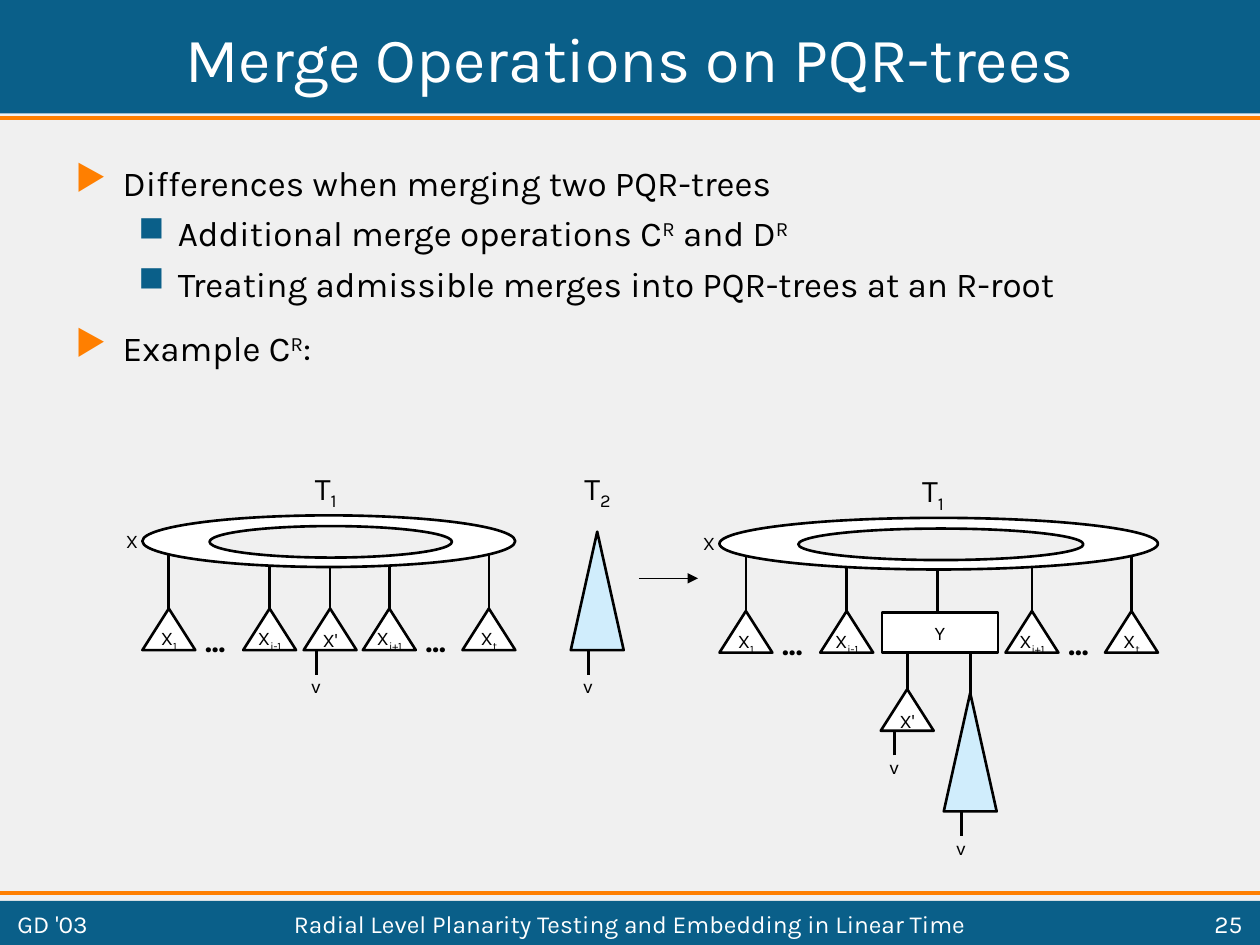
"""Build a slide on merge operations for PQR-trees, laid out on a 100 by 75 grid."""
from dataclasses import dataclass
from typing import NamedTuple, Optional

from lxml.etree import SubElement
from pptx import Presentation
from pptx.dml.color import RGBColor
from pptx.enum.shapes import MSO_CONNECTOR, MSO_SHAPE
from pptx.enum.text import MSO_ANCHOR, MSO_AUTO_SIZE, PP_ALIGN
from pptx.oxml.ns import qn
from pptx.util import Inches, Pt

COLUMNS, ROWS = 100, 75
CELL = Inches(10) // COLUMNS


@dataclass(frozen=True)
class Theme:
    font: str = "Karla"
    page: str = "F0F0F0"
    band: str = "0A5F89"
    accent: str = "FF7F00"
    ink: str = "000000"
    paper: str = "FFFFFF"
    subtree: str = "D0EDFC"
    title: int = 36
    body: int = 20
    heading: int = 18
    footer: int = 14
    label: int = 11
    outline: float = 1.5
    rule: float = 2.25
    arrow: float = 0.75


THEME = Theme()


class Run(NamedTuple):
    text: str
    baseline: int = 0


class Box(NamedTuple):
    column: float
    row: float
    columns: float
    rows: float


class Bullet(NamedTuple):
    runs: list[Run]
    level: int = 0


class BulletStyle(NamedTuple):
    mark: str
    color: str
    margin: float
    hanging: float
    space: float


class Leaf(NamedTuple):
    column: float
    stem_row: float
    subscript: str
    spread: int


class Tree(NamedTuple):
    column: float
    row: float
    widening: float
    middle: float


BULLET_STYLES = [BulletStyle("▶", THEME.accent, 3.75, 3.75, 12.5),
                 BulletStyle("■", THEME.band, 8.13, 3.13, 5)]
BULLETS = [
    Bullet([Run("Differences when merging two PQR-trees")]),
    Bullet([Run("Additional merge operations C"), Run("R", 30), Run(" and D"), Run("R", 30)], 1),
    Bullet([Run("Treating admissible merges into PQR-trees at an R-root")], 1),
    Bullet([Run("Example C"), Run("R", 30), Run(":")]),
]
FOOTERS = [("GD '03", 0.4, 11.8, PP_ALIGN.LEFT),
           ("Radial Level Planarity Testing and Embedding in Linear Time", 13, 74, PP_ALIGN.CENTER),
           ("25", 87.8, 11.8, PP_ALIGN.RIGHT)]
LEAVES = [Leaf(0, 2.2, "1", 0), Leaf(8, 3.2, "i-1", 0),
          Leaf(17.5, 3.8, "i+1", 1), Leaf(25.4, 2.3, "t", 1)]
DOTS = [(4, 0), (21.5, 1)]
BEFORE = Tree(11.3, 40.9, 0, 14.9)
AFTER = Tree(57.1, 41.1, 5.2, 17.3)
TRIANGLE_WIDTH, LEAF_HEIGHT, SUBTREE_HEIGHT = 4.2, 3.3, 9.4
STEM, TAIL = 5.65, 2.85


def emu(cells: float) -> int:
    """Convert grid cells to a length."""
    return round(cells * CELL)


def add_runs(paragraph, runs: list[Run], size: float, color: str, bold: bool = False) -> None:
    """Append styled runs to a paragraph."""
    for part in runs:
        run = paragraph.add_run()
        run.text = part.text
        run.font.name, run.font.size, run.font.bold = THEME.font, Pt(size), bold
        run.font.color.rgb = RGBColor.from_string(color)
        if part.baseline:
            run._r.get_or_add_rPr().set("baseline", str(part.baseline * 1000))


def add_text(shapes, box: Box, runs: list[Run], size: float, color: str = THEME.ink,
             align=PP_ALIGN.LEFT, wrap: bool = False, bold: bool = False) -> None:
    """Add a one-line text box, growing from its corner unless it wraps."""
    frame = shapes.add_textbox(*map(emu, box)).text_frame
    frame.word_wrap = wrap
    if wrap:
        frame.vertical_anchor = MSO_ANCHOR.MIDDLE
    else:
        frame.auto_size = MSO_AUTO_SIZE.SHAPE_TO_FIT_TEXT
    frame.paragraphs[0].alignment = align
    add_runs(frame.paragraphs[0], runs, size, color, bold)


def add_line(shapes, start: tuple, end: tuple, color: str = THEME.ink,
             width: float = THEME.outline, arrow: bool = False) -> None:
    """Add a straight connector between two grid points."""
    line = shapes.add_connector(MSO_CONNECTOR.STRAIGHT, *map(emu, (*start, *end)))
    line.line.color.rgb, line.line.width = RGBColor.from_string(color), Pt(width)
    if arrow:
        SubElement(line.line._get_or_add_ln(), qn("a:tailEnd"), type="triangle")
    SubElement(line._element.spPr, qn("a:effectLst"))


def add_outline(shapes, kind, box: Box, fill: str, runs: Optional[list[Run]] = None,
                outlined: bool = True) -> None:
    """Add a filled preset shape with an optional centred label."""
    shape = shapes.add_shape(kind, *map(emu, box))
    shape.shadow.inherit = False
    shape.fill.solid()
    shape.fill.fore_color.rgb = RGBColor.from_string(fill)
    if outlined:
        shape.line.color.rgb, shape.line.width = RGBColor.from_string(THEME.ink), Pt(THEME.outline)
    else:
        shape.line.fill.background()
    if runs:
        frame = shape.text_frame
        frame.word_wrap, frame.vertical_anchor = False, MSO_ANCHOR.MIDDLE
        frame.paragraphs[0].alignment = PP_ALIGN.CENTER
        add_runs(frame.paragraphs[0], runs, THEME.label, THEME.ink)


def add_branch(shapes, column: float, row: float, runs: Optional[list[Run]] = None,
               stem_row: Optional[float] = None, tail: Optional[float] = None) -> None:
    """Add a triangle with a stem above and a tail to v below; unlabelled ones are tall."""
    height = LEAF_HEIGHT if runs else SUBTREE_HEIGHT
    if stem_row is not None:
        apex = column + TRIANGLE_WIDTH / 2
        add_line(shapes, (apex, stem_row + STEM), (apex, stem_row))
    if tail is not None:
        x, top = column + tail, row + height - 0.9
        add_line(shapes, (x, top + TAIL), (x, top))
        add_text(shapes, Box(x - 1.4, top + 2.35, 2.8, 2.9), [Run("v")], THEME.label)
    add_outline(shapes, MSO_SHAPE.ISOSCELES_TRIANGLE, Box(column, row, TRIANGLE_WIDTH, height),
                THEME.paper if runs else THEME.subtree, runs)


def add_heading(shapes, column: float, row: float, index: str) -> None:
    """Add the name of a tree."""
    add_text(shapes, Box(column, row, 4.2, 4.4), [Run("T"), Run(index, -25)], THEME.heading)


def add_ring_tree(shapes, tree: Tree) -> None:
    """Add the R-node ring of a tree with its outer leaves and labels."""
    for leaf in LEAVES:
        add_branch(shapes, tree.column + leaf.column + leaf.spread * tree.widening, tree.row + 7.4,
                   [Run("X"), Run(leaf.subscript, -25)], tree.row + leaf.stem_row)
    width = 29.6 + tree.widening
    add_outline(shapes, MSO_SHAPE.OVAL, Box(tree.column, tree.row, width, 4.1), THEME.paper)
    add_outline(shapes, MSO_SHAPE.OVAL,
                Box(tree.column + 0.18 * width, tree.row + 0.85, 0.65 * width, 2.5), THEME.page)
    add_text(shapes, Box(tree.column - 2.3, tree.row + 0.6, 2.9, 2.9), [Run("X")], THEME.label)
    add_heading(shapes, tree.column + tree.middle - 2.2, tree.row - 4.2, "1")
    for column, spread in DOTS:
        add_text(shapes, Box(tree.column + column + spread * tree.widening, tree.row + 7.9, 4.1, 4),
                 [Run("...")], THEME.heading, bold=True)


def add_bullets(shapes) -> None:
    """Add the two-level bullet list."""
    frame = shapes.add_textbox(*map(emu, Box(5, 12.3, 89.9, 19.7))).text_frame
    frame.word_wrap = True
    for index, bullet in enumerate(BULLETS):
        paragraph = frame.add_paragraph() if index else frame.paragraphs[0]
        style = BULLET_STYLES[bullet.level]
        paragraph.level = bullet.level
        paragraph.space_before = Pt(style.space if index else 0)
        properties = paragraph._p.get_or_add_pPr()
        properties.set("marL", str(emu(style.margin)))
        properties.set("indent", str(-emu(style.hanging)))
        SubElement(SubElement(properties, qn("a:buClr")), qn("a:srgbClr"), val=style.color)
        SubElement(properties, qn("a:buChar"), char=style.mark)
        add_runs(paragraph, bullet.runs, THEME.body, THEME.ink)


def add_frame(shapes) -> None:
    """Add the bands, rules, title and footers."""
    for row, rows, rule_row in [(0, 9, 9.4), (71.5, 3.5, 70.9)]:
        add_outline(shapes, MSO_SHAPE.RECTANGLE, Box(0, row, COLUMNS, rows), THEME.band, outlined=False)
        add_line(shapes, (0, rule_row), (COLUMNS, rule_row), THEME.accent, THEME.rule)
    add_text(shapes, Box(0.4, 0.4, 99.2, 8.3), [Run("Merge Operations on PQR-trees")],
             THEME.title, THEME.paper, PP_ALIGN.CENTER, wrap=True)
    for text, column, columns, align in FOOTERS:
        add_text(shapes, Box(column, 71.9, columns, 2.8), [Run(text)],
                 THEME.footer, THEME.paper, align, wrap=True)


def main() -> None:
    """Build and save the slide."""
    deck = Presentation()
    deck.slide_width, deck.slide_height = emu(COLUMNS), emu(ROWS)
    slide = deck.slides.add_slide(deck.slide_layouts[6])
    slide.background.fill.solid()
    slide.background.fill.fore_color.rgb = RGBColor.from_string(THEME.page)
    add_frame(slide.shapes)
    add_bullets(slide.shapes)
    add_line(slide.shapes, (50.7, 45.9), (55.4, 45.9), width=THEME.arrow, arrow=True)

    before = slide.shapes.add_group_shape().shapes
    add_branch(before, 24.1, 48.3, [Run("X'")], 44.4, tail=1)
    add_branch(before, 45.3, 42.2, tail=1.4)
    add_heading(before, 45.4, 36.7, "2")
    add_ring_tree(before, BEFORE)

    after = slide.shapes.add_group_shape().shapes
    add_line(after, (74.4, 50.2), (74.4, 44.5))
    add_branch(after, 69.9, 54.7, [Run("X'")], 51.1, tail=1.1)
    add_branch(after, 74.9, 55, stem_row=50.6, tail=1.4)
    add_outline(after, MSO_SHAPE.RECTANGLE, Box(70, 48.6, 9.2, 3.2), THEME.paper, [Run("Y")])
    add_ring_tree(after, AFTER)
    deck.save("out.pptx")


if __name__ == "__main__":
    main()
